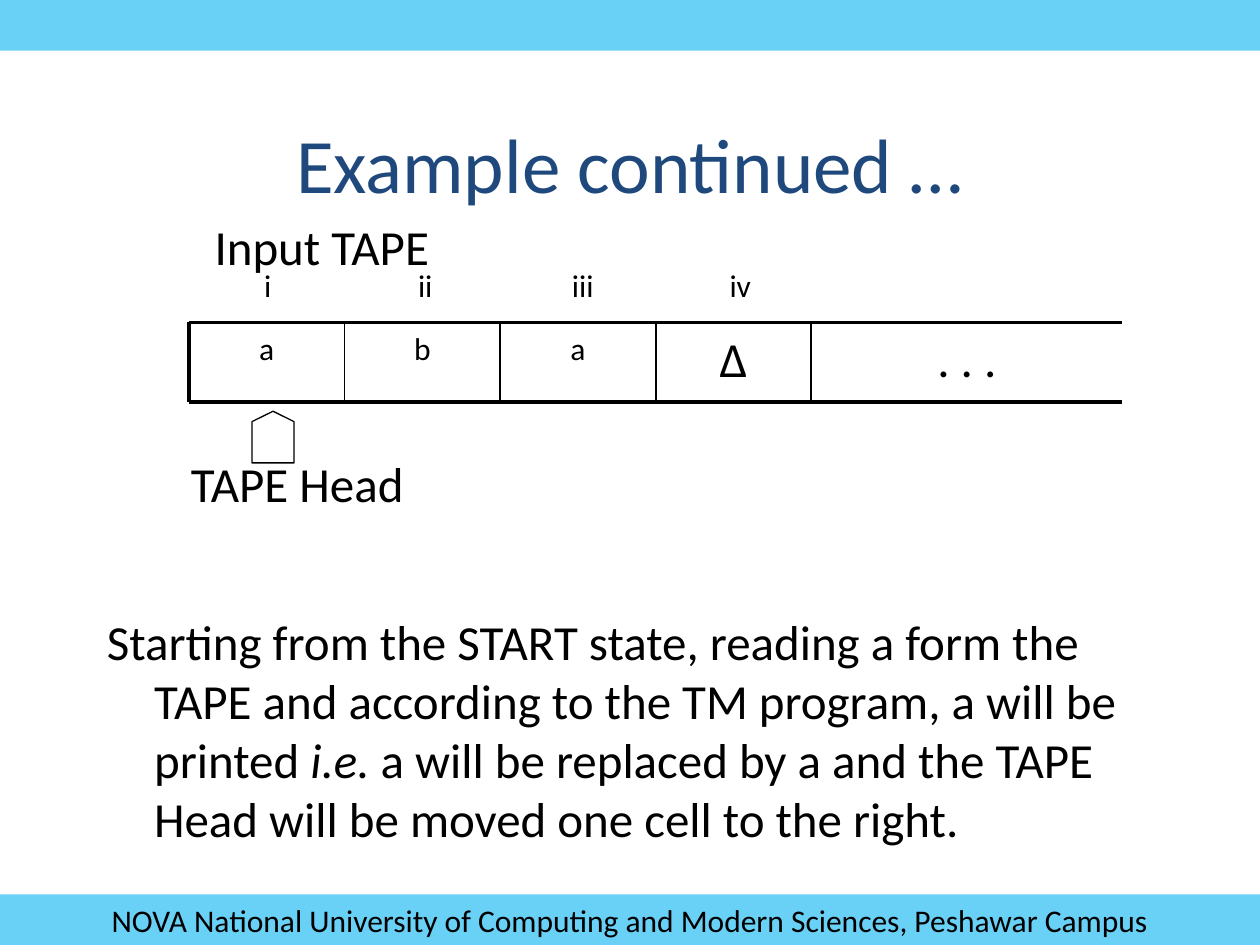
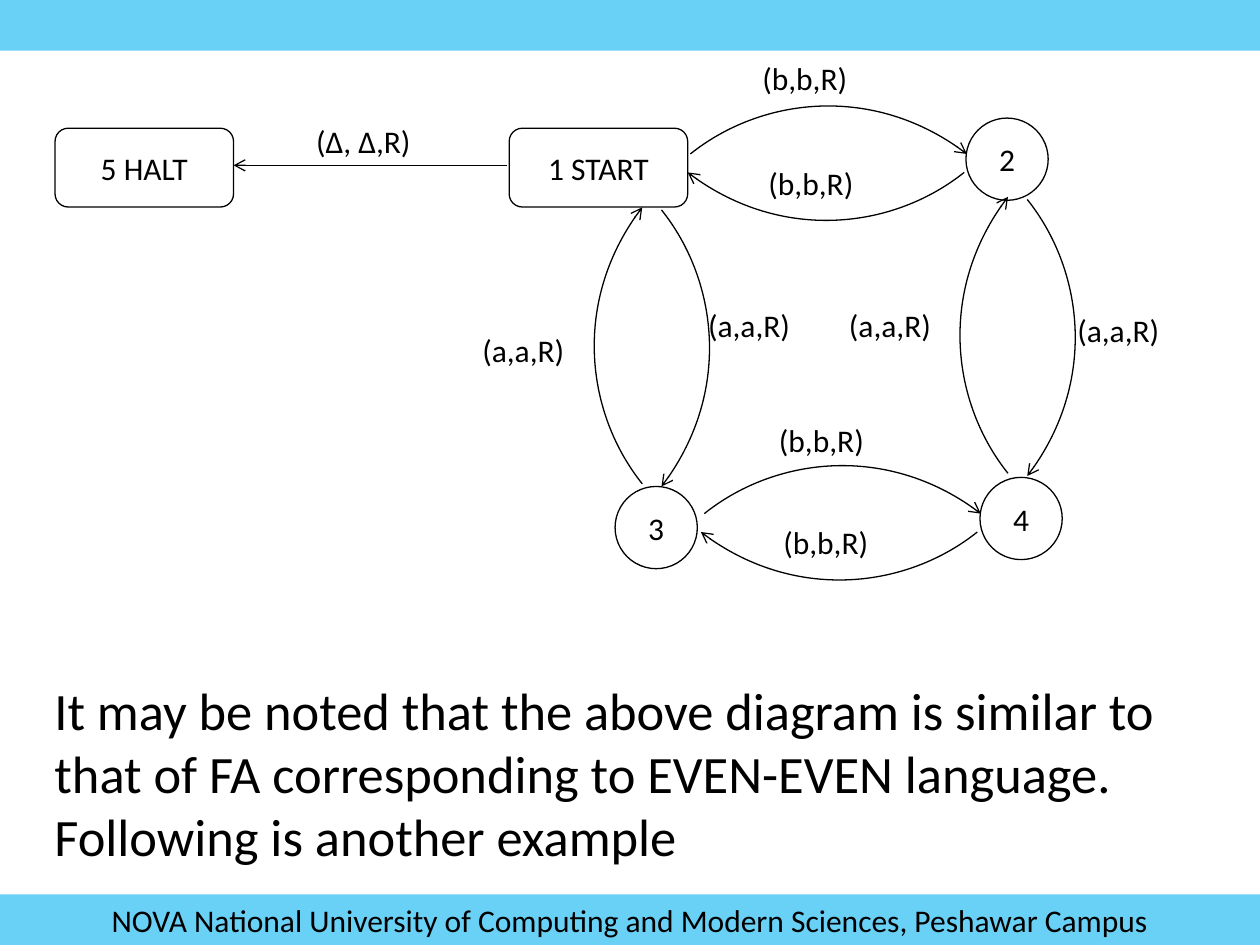
from dataclasses import dataclass

from lxml.etree import SubElement
from pptx import Presentation
from pptx.dml.color import RGBColor
from pptx.enum.shapes import MSO_CONNECTOR, MSO_SHAPE
from pptx.enum.text import MSO_ANCHOR, PP_ALIGN
from pptx.oxml.ns import qn
from pptx.util import Pt

RECT, ROUND, OVAL = MSO_SHAPE.RECTANGLE, MSO_SHAPE.ROUNDED_RECTANGLE, MSO_SHAPE.OVAL
HEAD = MSO_SHAPE.FLOWCHART_OFFPAGE_CONNECTOR
LINE = MSO_CONNECTOR.STRAIGHT
LEFT, MID = PP_ALIGN.LEFT, PP_ALIGN.CENTER
TOP, CENTRE = MSO_ANCHOR.TOP, MSO_ANCHOR.MIDDLE


@dataclass(frozen=True)
class Theme:
    font: str = "Calibri"
    ink: RGBColor = RGBColor(0, 0, 0)
    paper: RGBColor = RGBColor(255, 255, 255)
    title: RGBColor = RGBColor(0x1F, 0x49, 0x7D)
    band: RGBColor = RGBColor(0x00, 0xB0, 0xF0)
    clear: str = "59000"
    head: int = 44
    note: int = 30
    body: int = 28
    small: int = 18
    thin: float = 0.75
    cell: float = 1
    bold: float = 2.25


theme = Theme()


def write(shape, text, size=theme.small, align=LEFT, anchor=TOP, color=theme.ink):
    """Put text into a shape; parts between asterisks become italic."""
    frame = shape.text_frame
    frame.word_wrap = True
    frame.vertical_anchor = anchor
    para = frame.paragraphs[0]
    para.alignment = align
    for i, part in enumerate(text.split("*")):
        run = para.add_run()
        run.text = part
        run.font.name = theme.font
        run.font.size = Pt(size)
        run.font.color.rgb = color
        run.font.italic = i % 2 == 1
    return para


def draw(shape, width=theme.thin, arrow=False):
    """Give a shape or connector a plain black line without shadow."""
    shape.line.color.rgb = theme.ink
    shape.line.width = Pt(width)
    props = shape.element.spPr
    if arrow:
        SubElement(props.find(qn("a:ln")), qn("a:tailEnd"), type="arrow")
    SubElement(props, qn("a:effectLst"))


deck = Presentation()
deck.slide_width, deck.slide_height = Pt(720), Pt(540)
blank = deck.slide_layouts[6]
tape, graph = [deck.slides.add_slide(blank) for _ in range(2)]

# Bands and footer
footer = "NOVA National University of Computing and Modern Sciences, Peshawar Campus"
for slide in (tape, graph):
    for y in (0, 511):
        band = slide.shapes.add_shape(RECT, 0, Pt(y), Pt(720), Pt(29))
        band.fill.solid()
        band.fill.fore_color.rgb = theme.band
        shade = band.element.spPr.find(qn("a:solidFill"))[0]
        SubElement(shade, qn("a:alpha"), val=theme.clear)
        band.line.fill.background()
        band.shadow.inherit = False
    write(band, footer, align=MID, anchor=CENTRE)

# Slide 1: tape with its head
box = tape.shapes.add_textbox(Pt(54), Pt(48), Pt(612), Pt(90))
write(box, "Example continued …", theme.head, MID, CENTRE, theme.title)

box = tape.shapes.add_textbox(Pt(54), Pt(346), Pt(612), Pt(144))
para = write(box, "Starting from the START state, reading a form the TAPE and according "
             "to the TM program, a will be printed *i.e.* a will be replaced by a and "
             "the TAPE Head will be moved one cell to the right.", theme.body)
props = para._p.get_or_add_pPr()
props.set("marL", str(Pt(27)))
props.set("indent", str(-Pt(27)))

left, top, step, base = 108, 184.3, 88.9, 229.7
cells = [("a", theme.small), ("b", theme.small), ("a", theme.small),
         ("∆", theme.body), (". . .", theme.body)]
for i, (text, size) in enumerate(cells):
    wide = step * (2 if i == 4 else 1)
    box = tape.shapes.add_textbox(Pt(left + i * step), Pt(top), Pt(wide), Pt(base - top))
    write(box, text, size, MID)

for y in (top, base):
    edge = tape.shapes.add_connector(LINE, Pt(left), Pt(y), Pt(left + 6 * step), Pt(y))
    draw(edge, theme.bold)
for i in range(5):
    x = Pt(left + i * step)
    wall = tape.shapes.add_connector(LINE, x, Pt(top), x, Pt(base))
    draw(wall, theme.cell if i else theme.bold)

for i, text in enumerate(("i", "ii", "iii", "iv")):
    box = tape.shapes.add_textbox(Pt(left + 90 * i), Pt(148.5), Pt(90), Pt(40))
    write(box, text, align=MID)

for text, x, y in (("TAPE Head", 102, 255.8), ("Input TAPE", 115.5, 120)):
    box = tape.shapes.add_textbox(Pt(x), Pt(y), Pt(168), Pt(41))
    write(box, text, theme.body)

head = tape.shapes.add_shape(HEAD, Pt(144), Pt(235), Pt(24), Pt(29.5))
head.rotation = 180
head.fill.background()
draw(head)

# Slide 2: state graph
for text, x, y in (("2", 552, 67.5), ("3", 351.5, 278), ("4", 560, 272.8)):
    node = graph.shapes.add_shape(OVAL, Pt(x), Pt(y), Pt(47), Pt(47))
    node.fill.solid()
    node.fill.fore_color.rgb = theme.paper
    draw(node)
    write(node, text, align=MID, anchor=CENTRE)

for text, x in (("1 START", 291), ("5 HALT", 31.5)):
    node = graph.shapes.add_shape(ROUND, Pt(x), Pt(73.3), Pt(102), Pt(45))
    node.fill.background()
    draw(node)
    write(node, text, align=MID, anchor=CENTRE)

# Each arc runs 158 points along its heading and bows to the left of it
bend = [(40, 32), (106, 40), (158, 0)]
arcs = [(551, 98.5, -1, 0), (394.5, 88, 1, 0),
        (367, 276.5, 0, -1), (378, 120, 0, 1),
        (558.5, 304, -1, 0), (402.5, 293.5, 1, 0),
        (576, 270.5, 0, -1), (587, 114, 0, 1)]
for x, y, dx, dy in arcs:
    pen = graph.shapes.build_freeform(Pt(x), Pt(y))
    pen.add_line_segments([(Pt(x + dx * far + dy * off), Pt(y + dy * far - dx * off))
                           for far, off in bend], close=False)
    arc = pen.convert_to_shape()
    trace = arc.element.find(".//" + qn("a:path"))
    parts = trace.findall(qn("a:lnTo"))
    curve = SubElement(trace, qn("a:cubicBezTo"))
    for part in parts:
        curve.append(part[0])
        trace.remove(part)
    arc.fill.background()
    draw(arc, arrow=True)

halt = graph.shapes.add_connector(LINE, Pt(289.5), Pt(94.5), Pt(133.5), Pt(94.5))
draw(halt, arrow=True)

marks = [("(a,a,R)", 268.5, 185.5), ("(∆, ∆,R)", 173.5, 66), ("(b,b,R)", 428.5, 30),
         ("(b,b,R)", 432, 90), ("(b,b,R)", 438, 237), ("(b,b,R)", 440.5, 295.5),
         ("(a,a,R)", 608.5, 174), ("(a,a,R)", 478, 171.5), ("(a,a,R)", 397.5, 171.5)]
for text, x, y in marks:
    box = graph.shapes.add_textbox(Pt(x), Pt(y), Pt(87), Pt(33))
    write(box, text)

box = graph.shapes.add_textbox(Pt(24), Pt(384), Pt(666), Pt(115))
write(box, "It may be noted that the above diagram is similar to that of FA corresponding "
      "to EVEN-EVEN language. Following is another example", theme.note)

deck.save("out.pptx")
